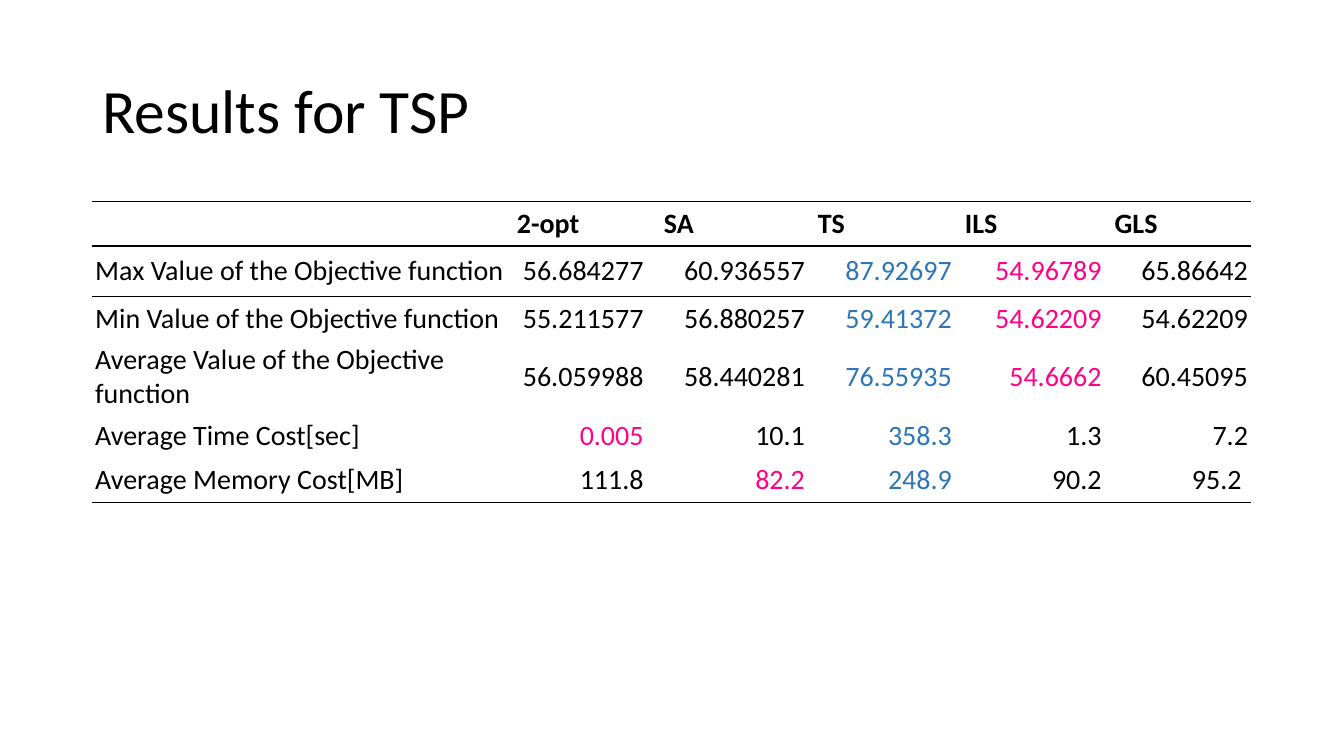
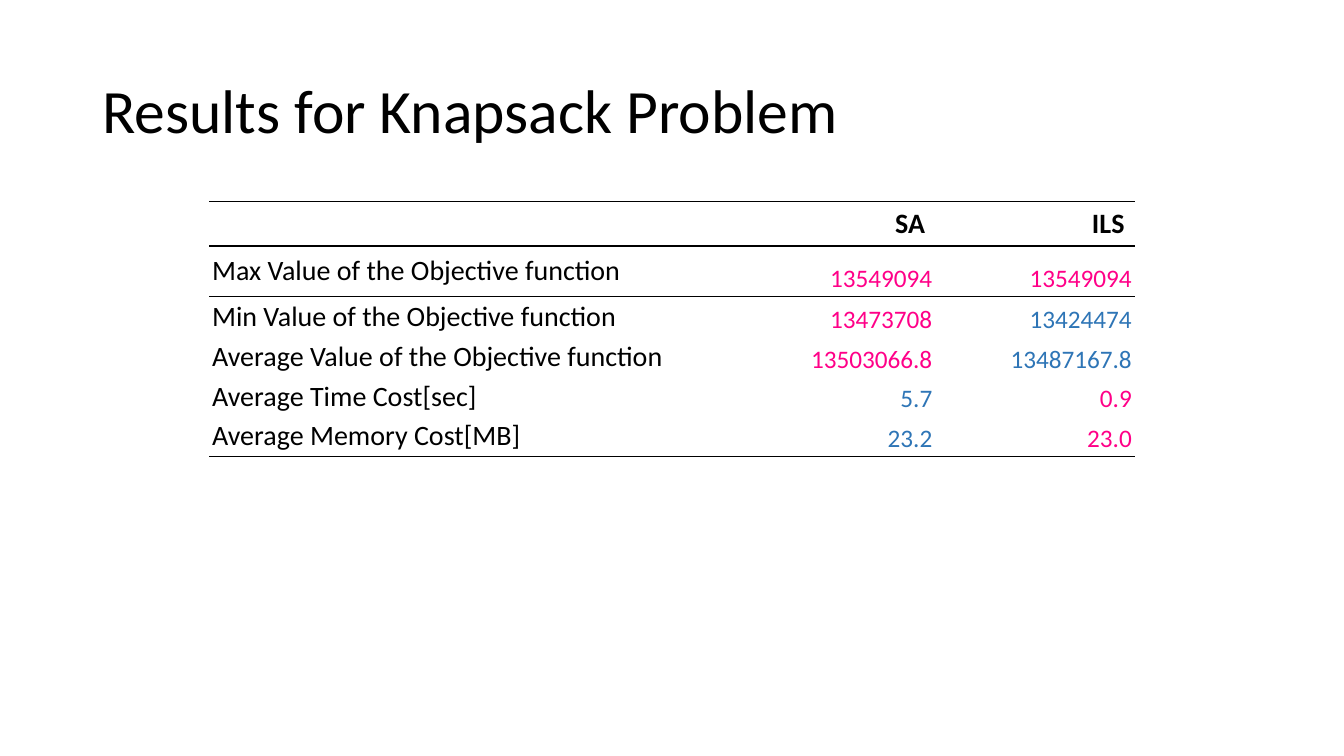
import pptx
import pptx.util
import pptx.dml.color
import pptx.enum.text
import pptx.oxml
import pptx.oxml.ns

Pt = pptx.util.Pt
ALIGN = pptx.enum.text.PP_ALIGN
ANCHOR = pptx.enum.text.MSO_ANCHOR

# Shared style
FONT = "Calibri"
INK = "000000"
# k: plain, b: best result, w: worst result
TONES = {"k": INK, "b": "FF0088", "w": "2E75B6"}
TOP = 144
TIGHT = (2, 1.5)
WIDE = (7.2, 3.6)
PLAIN = "{2D5ABB26-0587-4C30-8999-92F81FD0307C}"  # no style, no grid

LABELS = [
    "Max Value of the Objective function",
    "Min Value of the Objective function",
    "Average Value of the Objective function",
    "Average Time Cost[sec]",
    "Average Memory Cost[MB]",
]


def color(code):
    return pptx.dml.color.RGBColor.from_string(code)


def style(para, size, code=INK, bold=False, align=ALIGN.LEFT):
    font = para.font
    font.name, font.size, font.bold = FONT, Pt(size), bold
    font.color.rgb = color(code)
    para.alignment = align


def add_slide(deck, text):
    """Add a slide with the shared title."""
    slide = deck.slides.add_slide(deck.slide_layouts[5])
    title = slide.shapes.title
    title.left, title.top = Pt(66), Pt(29)
    title.width, title.height = Pt(828), Pt(104)
    frame = title.text_frame
    frame.text = text
    frame.auto_size = pptx.enum.text.MSO_AUTO_SIZE.NONE
    frame.vertical_anchor = ANCHOR.MIDDLE
    para = frame.paragraphs[0]
    style(para, 44)
    para.line_spacing = 0.9
    return slide


def rule(cell, side):
    """Draw a thin line on one side (T or B) of a cell."""
    line = pptx.oxml.parse_xml(
        f'<a:ln{side} {pptx.oxml.ns.nsdecls("a")} w="{Pt(1)}">'
        f'<a:solidFill><a:srgbClr val="{INK}"/></a:solidFill></a:ln{side}>')
    cell._tc.get_or_add_tcPr().append(line)


def fill_cell(cell, text, size, inset, anchor=ANCHOR.MIDDLE, **look):
    cell.margin_left = cell.margin_right = Pt(inset[0])
    cell.margin_top = cell.margin_bottom = Pt(inset[1])
    cell.vertical_anchor = anchor
    cell.text = text
    style(cell.text_frame.paragraphs[0], size, **look)


def add_table(slide, left, widths, heights, heads, rows, tones,
              size, anchor, align, roomy=()):
    """Add a ruled table; roomy lists the value columns with wide insets."""
    shape = slide.shapes.add_table(
        len(heights), len(widths), Pt(left), Pt(TOP),
        Pt(sum(widths)), Pt(sum(heights)))
    for node in shape.element.iter(pptx.oxml.ns.qn("a:tableStyleId")):
        node.text = PLAIN
    table = shape.table
    table.first_row = table.horz_banding = False
    for col, width in zip(table.columns, widths):
        col.width = Pt(width)
    for row, height in zip(table.rows, heights):
        row.height = Pt(height)

    # Header
    for c, head in enumerate([""] + heads):
        fill_cell(table.cell(0, c), head, 20, WIDE, bold=True, align=align)

    # Labels and values
    for r, (label, row, marks) in enumerate(zip(LABELS, rows, tones), 1):
        fill_cell(table.cell(r, 0), label, 20, TIGHT)
        for c, (value, mark) in enumerate(zip(row, marks), 1):
            fill_cell(table.cell(r, c), value, size,
                      WIDE if c in roomy else TIGHT, anchor,
                      code=TONES[mark], align=ALIGN.RIGHT)

    # Rules around the header and under the last row
    sides = {0: "TB", 1: "T", len(rows): "B"}
    for r in range(len(heights)):
        for c in range(len(widths)):
            cell = table.cell(r, c)
            for side in sides.get(r, ""):
                rule(cell, side)
            cell.fill.background()


def main():
    deck = pptx.Presentation()
    deck.slide_width, deck.slide_height = Pt(960), Pt(540)

    # Travelling salesman
    add_table(
        add_slide(deck, "Results for TSP"), 66,
        [296, 105, 110, 105, 107, 104.5],
        [31.5, 36, 31.5, 51.5, 31.5, 31.5],
        ["2-opt", "SA", "TS", "ILS", "GLS"],
        [["56.684277", "60.936557", "87.92697", "54.96789", "65.86642"],
         ["55.211577", "56.880257", "59.41372", "54.62209", "54.62209"],
         ["56.059988", "58.440281", "76.55935", "54.6662", "60.45095"],
         ["0.005", "10.1", "358.3", "1.3", "7.2"],
         ["111.8", "82.2", "248.9", "90.2", "95.2 "]],
        ["kkwbk", "kkwbk", "kkwbk", "bkwkk", "kbwkk"],
        20, ANCHOR.MIDDLE, ALIGN.LEFT, roomy=(1,))

    # Knapsack
    add_table(
        add_slide(deck, "Results for Knapsack Problem"), 149.5,
        [382.5, 136, 142.5],
        [31.5, 36, 29, 29, 27, 29],
        ["SA", "ILS"],
        [["13549094", "13549094"],
         ["13473708", "13424474"],
         ["13503066.8", "13487167.8"],
         ["5.7", "0.9"],
         ["23.2", "23.0"]],
        ["bb", "bw", "bw", "wb", "wb"],
        18, ANCHOR.BOTTOM, ALIGN.RIGHT)

    deck.save("out.pptx")


if __name__ == "__main__":
    main()
